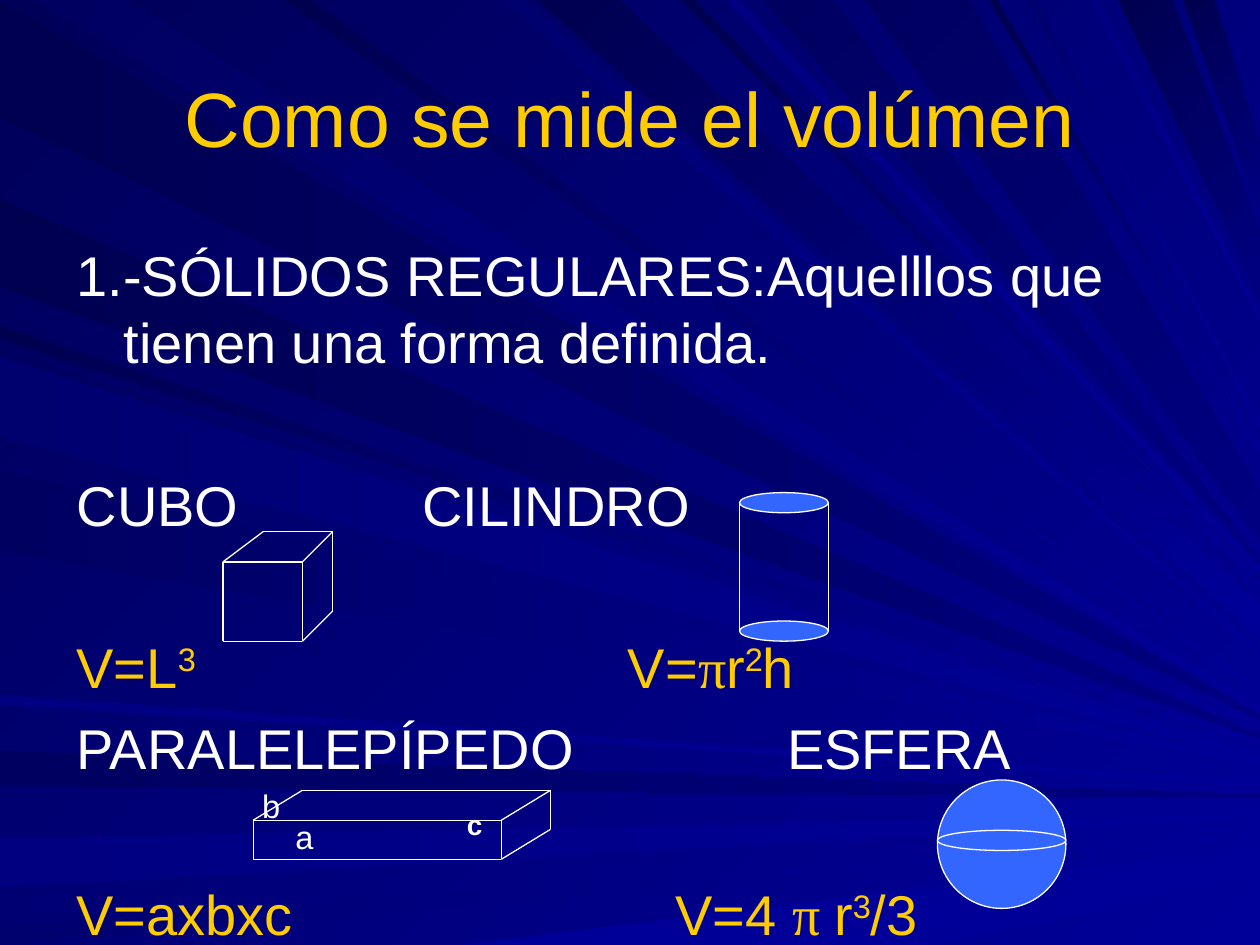
"""Build a slide on the volume of regular solids over a background of blue rays."""
from dataclasses import dataclass

from lxml import etree
from pptx import Presentation
from pptx.dml.color import RGBColor as RGB
from pptx.enum.shapes import MSO_CONNECTOR as CONN, MSO_SHAPE as SHAPE
from pptx.enum.text import MSO_ANCHOR as ANCHOR, PP_ALIGN as ALIGN
from pptx.oxml.ns import qn
from pptx.util import Pt


@dataclass(frozen=True)
class Theme:
    """Colours, fonts and sizes of the slide."""
    white: str = "FFFFFF"
    gold: str = "FFCC00"
    solid: str = "3366FF"
    night: str = "000058"
    dark: str = "000050"
    dim: str = "000061"
    soft: str = "00006F"
    pale: str = "000080"
    blue: str = "000099"
    font: str = "Arial"
    greek: str = "Times New Roman"
    title: float = 44
    body: float = 32
    small: float = 16
    stroke: float = 0.75
    leading: float = 38.3


T = Theme()
WIDTH, HEIGHT = 720, 540

RAYS = [
    ("left", 1, 67, 410, T.dark, T.pale),
    ("top", 19, 73, 405, T.dim, T.blue),
    ("left", 429, 449, 455, T.dim, T.pale),
    ("left", 479, 507, 466, T.pale, T.blue),
    ("left", 529, 540, 477, T.soft, T.blue),
    ("bottom", 262, 534, 492, T.blue, T.blue),
    ("left", 186, 194, 424, T.dark, T.blue),
    ("left", 114, 164, 421, T.dark, T.pale),
    ("top", 287, 300, 373, T.soft, T.blue),
    ("top", 307, 354, 355, T.dark, T.blue),
    ("top", 389, 397, 333, T.dark, T.blue),
    ("top", 436, 476, 321, T.dim, T.pale),
    ("top", 639, 670, 151, T.dark, T.pale),
    ("top", 676, 694, 101, T.dark, T.pale),
    ("left", 200, 246, 431, T.dim, T.blue),
    ("left", 269, 315, 436, T.dim, T.blue),
    ("left", 397, 403, 448, T.pale, T.blue),
    ("top", 162, 178, 396, T.dark, T.blue),
    ("top", 415, 423, 327, T.pale, T.blue),
    ("top", 494, 554, 295, T.dim, T.pale),
    ("top", 565, 570, 257, T.dark, T.blue),
    ("top", 587, 593, 242, T.soft, T.blue),
    ("top", 623, 628, 182, T.pale, T.blue),
    ("left", 204, 250, 434, T.soft, T.blue),
]
TIPS = {492: 8, 355: 10, 151: 19, 101: 19, 295: 14}
ANGLES = {"left": 0, "top": 45, "bottom": 0}

GREEK = {"name": T.greek}
SUP = {"baseline": 30}
SUB = {"baseline": -25}
SMALL = {"size": Pt(T.small), "bold": True}

ROWS = [
    (0, T.white, [], [("1.-SÓLIDOS REGULARES:Aquelllos que tienen una forma definida.", {})]),
    (54.8, T.white, [197.5], [("CUBO\tCILINDRO", {})]),
    (54.3, T.gold, [315], [("V=L", {}), ("3", SUP), ("\tV=", {}), ("π", GREEK), ("r", {}), ("2", SUP), ("h", {})]),
    (8, T.white, [406], [("PARALELEPÍPEDO\tESFERA", {})]),
    (4.6, T.white, [106, 125, 223], [("\t", {}), ("b", SUP), ("\t", {}), ("a", SUB), ("\t", {}), ("c", SMALL)]),
    (13.7, T.gold, [342], [("V=axbxc\tV=4 ", {}), ("π ", GREEK), ("r", {}), ("3", SUP), ("/3", {})]),
]


def set_values(obj, values):
    """Set each attribute named in a dict of format values."""
    for name, value in values.items():
        setattr(obj, name, value)


def paint(fill, colour):
    """Fill with one colour."""
    fill.solid()
    fill.fore_color.rgb = RGB.from_string(colour)


def shade(fill, start, end, angle):
    """Fill with a linear gradient."""
    fill.gradient()
    fill.gradient_angle = -angle % 360
    for stop, colour in zip(fill.gradient_stops, (start, end)):
        stop.color.rgb = RGB.from_string(colour)


def outline(line):
    """Give a line the white thin stroke of the drawings."""
    line.color.rgb = RGB.from_string(T.white)
    line.width = Pt(T.stroke)


def add_ray(s, edge, near, far, tip, start, end):
    """Add one ray that narrows from a slide edge to the right side."""
    ends = {
        "left": [(0, far), (0, near)],
        "top": [(near, 0), (far, 0)],
        "bottom": [(far, HEIGHT), (near, HEIGHT)],
    }[edge]
    half = TIPS.get(tip, 1)
    points = ends + [(WIDTH, tip - half), (WIDTH, tip + half)]
    corners = [(Pt(x), Pt(y)) for x, y in points]
    fb = s.shapes.build_freeform(*corners[0], scale=1.0)
    fb.add_line_segments(corners[1:], close=True)
    sp = fb.convert_to_shape()
    sp.shadow.inherit = False
    sp.line.fill.background()
    shade(sp.fill, start, end, ANGLES[edge])


def add_edge(s, start, end):
    """Add one straight edge of a solid."""
    c = s.shapes.add_connector(CONN.STRAIGHT, *map(Pt, start + end))
    outline(c.line)
    etree.SubElement(c._element.spPr, qn("a:effectLst"))


def add_ellipse(s, x, y, w, h):
    """Add one filled ellipse."""
    sp = s.shapes.add_shape(SHAPE.OVAL, *map(Pt, (x, y, w, h)))
    sp.shadow.inherit = False
    paint(sp.fill, T.solid)
    outline(sp.line)


def add_box(s, x, y, w, h, left_shift, right_shift, rise):
    """Add the nine visible edges of a box seen from above and the right."""
    a, b, c, d = (x, y), (x + w, y), (x + w, y + h), (x, y + h)
    right = x + w + right_shift
    e, f, g = (x + left_shift, y - rise), (right, y - rise), (right, y + h - rise)
    for start, end in [(a, b), (b, c), (c, d), (d, a), (a, e), (e, f), (b, f), (f, g), (g, c)]:
        add_edge(s, start, end)


def add_cylinder(s, x, y, w, h, lid):
    """Add a cylinder from two ellipses and two sides."""
    for top in (y, y + h):
        add_ellipse(s, x, top, w, lid)
    for side in (x, x + w):
        add_edge(s, (side, y + lid / 2), (side, y + h + lid / 2))


def add_text_frame(s, x, y, w, h, anchor):
    """Add a wrapping text box and return its frame."""
    tf = s.shapes.add_textbox(*map(Pt, (x, y, w, h))).text_frame
    set_values(tf, {"word_wrap": True, "vertical_anchor": anchor})
    return tf


def add_run(p, text, colour, values):
    """Add a run in the body style, changed by the given values."""
    r = p.add_run()
    r.text = text
    values = {"name": T.font, "size": Pt(T.body), **values}
    shift = values.pop("baseline", None)
    set_values(r.font, values)
    r.font.color.rgb = RGB.from_string(colour)
    if shift:
        r._r.get_or_add_rPr().set("baseline", str(shift * 1000))


def add_title(s, text):
    """Add the centred title."""
    p = add_text_frame(s, 36, 21.6, 648, 90, ANCHOR.MIDDLE).paragraphs[0]
    p.alignment = ALIGN.CENTER
    add_run(p, text, T.gold, {"size": Pt(T.title)})


def add_body(s, rows):
    """Add the text rows, with a tab stop for each column or a hanging indent."""
    tf = add_text_frame(s, 36.7, 133.9, 652.3, 406.1, ANCHOR.TOP)
    for i, (before, colour, stops, runs) in enumerate(rows):
        p = tf.add_paragraph() if i else tf.paragraphs[0]
        set_values(p, {"line_spacing": Pt(T.leading), "space_before": Pt(before)})
        pPr = p._p.get_or_add_pPr()
        if stops:
            tabs = etree.SubElement(pPr, qn("a:tabLst"))
            for stop in stops:
                etree.SubElement(tabs, qn("a:tab"), pos=str(Pt(stop)), algn="l")
        else:
            pPr.set("marL", str(Pt(27)))
            pPr.set("indent", str(-Pt(27)))
        for text, values in runs:
            add_run(p, text, colour, values)


def main():
    """Build the slide and save it."""
    prs = Presentation()
    set_values(prs, {"slide_width": Pt(WIDTH), "slide_height": Pt(HEIGHT)})
    s = prs.slides.add_slide(prs.slide_layouts[6])
    shade(s.background.fill, T.night, T.blue, 45)
    for ray in RAYS:
        add_ray(s, *ray)
    add_title(s, "Como se mide el volúmen")
    add_body(s, ROWS)
    add_box(s, 127.4, 321.1, 45.4, 45.4, 23, 17.3, 17.3)
    add_cylinder(s, 422.6, 281.5, 50.8, 73.4, 11.5)
    add_box(s, 144.7, 468.7, 141.8, 22.3, 28.1, 28.1, 17.1)
    for y, h in [(445.7, 73.4), (474.5, 11.5)]:
        add_ellipse(s, 535.7, y, 73.4, h)
    prs.save("out.pptx")


if __name__ == "__main__":
    main()
